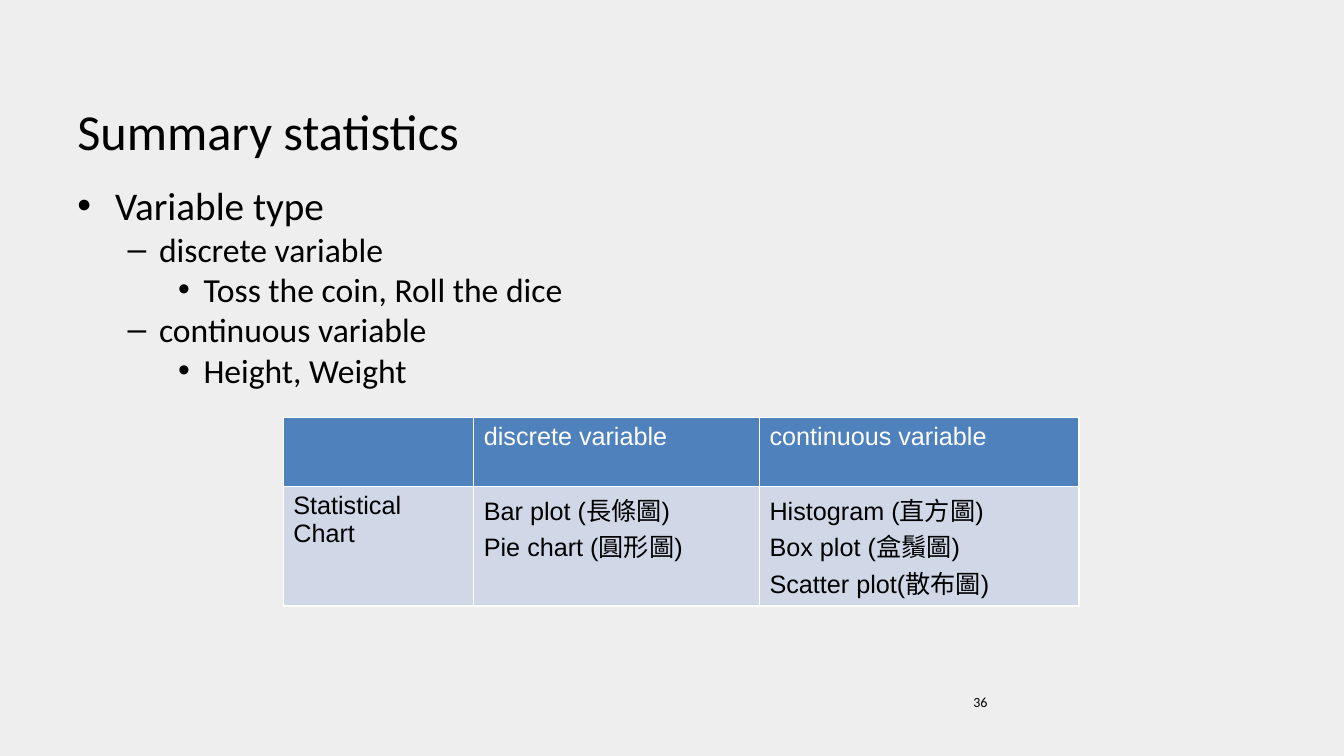
from lxml import etree
from pptx import Presentation
from pptx.dml.color import RGBColor
from pptx.enum.text import MSO_ANCHOR
from pptx.oxml.ns import qn
from pptx.util import Cm, Pt

BOTTOM = MSO_ANCHOR.BOTTOM
TOP = MSO_ANCHOR.TOP
BLACK, WHITE = "000000", "FFFFFF"
BACKGROUND, HEADER_BLUE, ROW_BLUE = "EEEEEE", "4F81BD", "D0D8E8"

LEVELS = [("•", 0.95, 28), ("–", 0.79, 24), ("•", 0.64, 24)]
TEXT_INDENTS = [0.95, 2.06, 3.18]

OUTLINE = [
    (0, "Variable type"),
    (1, "discrete variable"),
    (2, "Toss the coin, Roll the dice"),
    (1, "continuous variable"),
    (2, "Height, Weight"),
]
CHART_TYPES = [
    [[], ["discrete variable"], ["continuous variable"]],
    [
        ["Statistical Chart"],
        ["Bar plot (長條圖)", "Pie chart (圓形圖)"],
        ["Histogram (直方圖)", "Box plot (盒鬚圖)", "Scatter plot(散布圖)"],
    ],
]


def colour(hex_string):
    return RGBColor.from_string(hex_string)


def style(paragraph, size, family, hex_string):
    paragraph.font.size = Pt(size)
    paragraph.font.name = family
    paragraph.font.color.rgb = colour(hex_string)


def write_lines(frame, lines):
    for index, line in enumerate(lines):
        paragraph = frame.paragraphs[0] if index == 0 else frame.add_paragraph()
        paragraph.text = line
        yield paragraph


def add_frame(slide, box, anchor=TOP):
    frame = slide.shapes.add_textbox(*map(Cm, box)).text_frame
    frame.word_wrap = True
    frame.vertical_anchor = anchor
    return frame


def add_line(slide, box, wording, size, anchor=TOP):
    frame = add_frame(slide, box, anchor)
    for paragraph in write_lines(frame, [wording]):
        style(paragraph, size, "Calibri", BLACK)


def add_outline(slide, box):
    frame = add_frame(slide, box)
    paragraphs = write_lines(frame, [wording for _, wording in OUTLINE])
    for paragraph, (level, _) in zip(paragraphs, OUTLINE):
        bullet, hanging, size = LEVELS[level]
        paragraph.level = level
        properties = paragraph._p.get_or_add_pPr()
        properties.set("marL", str(Cm(TEXT_INDENTS[level])))
        properties.set("indent", str(-Cm(hanging)))
        etree.SubElement(properties, qn("a:buFont"), typeface="Arial")
        etree.SubElement(properties, qn("a:buChar"), char=bullet)
        style(paragraph, size, "Calibri", BLACK)


def add_borders(cell):
    properties = cell._tc.get_or_add_tcPr()
    for position, side in enumerate(("a:lnL", "a:lnR", "a:lnT", "a:lnB")):
        border = etree.Element(qn(side), w=str(Pt(1)))
        fill = etree.SubElement(border, qn("a:solidFill"))
        etree.SubElement(fill, qn("a:srgbClr"), val=WHITE)
        properties.insert(position, border)


def add_chart_types(slide, box, widths, heights):
    table = slide.shapes.add_table(
        len(heights), len(widths), *map(Cm, box)
    ).table
    for column, width in zip(table.columns, widths):
        column.width = Cm(width)
    for row, height in zip(table.rows, heights):
        row.height = Cm(height)
    looks = [(HEADER_BLUE, WHITE), (ROW_BLUE, BLACK)]
    for row, contents, (fill, ink) in zip(table.rows, CHART_TYPES, looks):
        for cell, lines in zip(row.cells, contents):
            cell.fill.solid()
            cell.fill.fore_color.rgb = colour(fill)
            add_borders(cell)
            for paragraph in write_lines(cell.text_frame, lines):
                style(paragraph, 18, "Arial", ink)
                paragraph.font.bold = False


def build_summary_slide(presentation):
    slide = presentation.slides.add_slide(presentation.slide_layouts[6])
    slide.background.fill.solid()
    slide.background.fill.fore_color.rgb = colour(BACKGROUND)
    add_outline(slide, (1.7, 4.45, 30.48, 12.57))
    add_line(slide, (1.7, 1, 30.48, 3.18), "Summary statistics", 36, BOTTOM)
    add_line(slide, (24.28, 17.35, 7.9, 1.32), "36", 10)
    widths, heights = (4.8, 7.2, 8.05), (1.73, 3.02)
    add_chart_types(
        slide, (7.14, 10.52, sum(widths), sum(heights)), widths, heights
    )


def main():
    presentation = Presentation()
    presentation.slide_width = Cm(33.87)
    presentation.slide_height = Cm(19.05)
    build_summary_slide(presentation)
    presentation.save("out.pptx")


if __name__ == "__main__":
    main()
